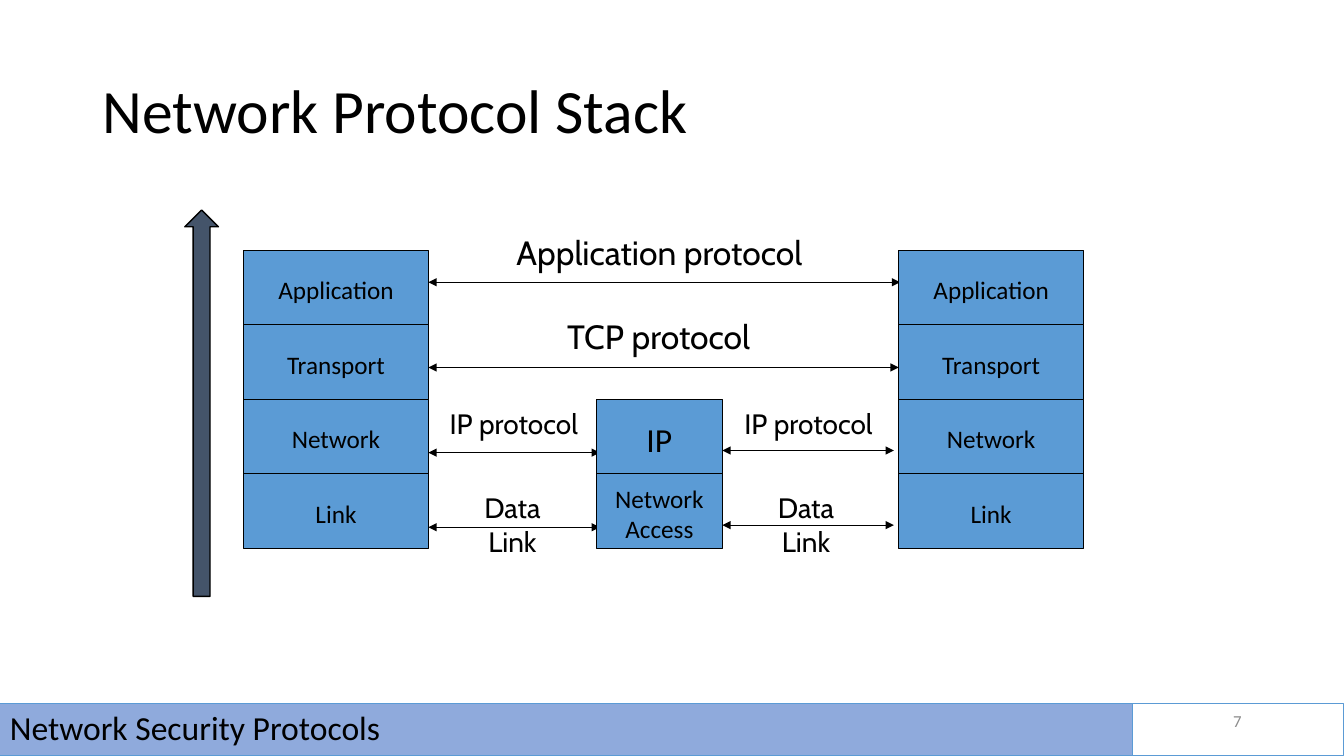
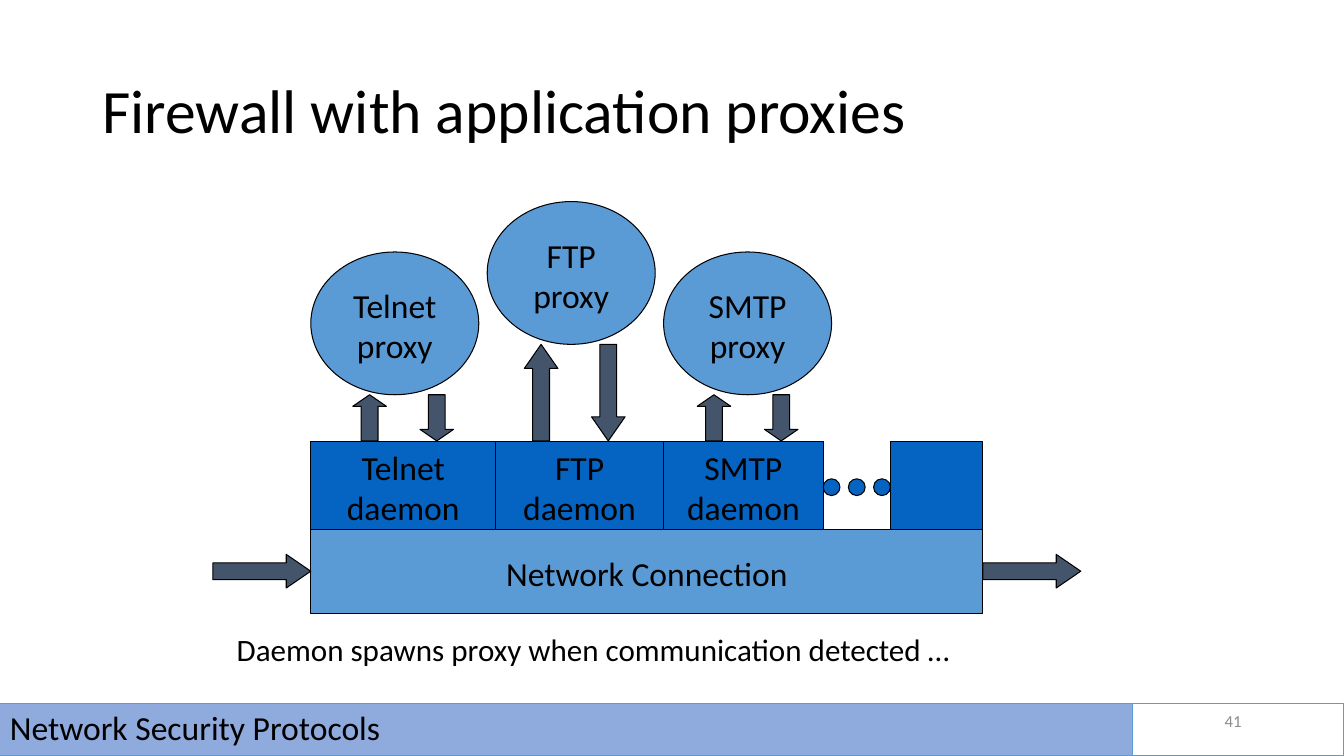
from lxml import etree
from pptx import Presentation
from pptx.dml.color import RGBColor
from pptx.enum.shapes import MSO_CONNECTOR, MSO_SHAPE
from pptx.enum.text import MSO_ANCHOR, PP_ALIGN
from pptx.oxml.ns import qn
from pptx.util import Pt

RECTANGLE, OVAL = MSO_SHAPE.RECTANGLE, MSO_SHAPE.OVAL
UP, DOWN, RIGHT = MSO_SHAPE.UP_ARROW, MSO_SHAPE.DOWN_ARROW, MSO_SHAPE.RIGHT_ARROW
STRAIGHT = MSO_CONNECTOR.STRAIGHT
TOP, MIDDLE = MSO_ANCHOR.TOP, MSO_ANCHOR.MIDDLE
LEFT, CENTER, RIGHT_ALIGN = PP_ALIGN.LEFT, PP_ALIGN.CENTER, PP_ALIGN.RIGHT

COLORS = {
    "text": "000000",
    "box": "5B9BD5",
    "daemon": "0563C1",
    "arrow": "44546A",
    "band": "8FAADC",
    "number": "8C8C8C",
}
BODY_FONT, LABEL_FONT = "Calibri", "Cabin"
FOOTER = "Network Security Protocols"
FOOTER_TOP, FOOTER_HEIGHT, BAND_WIDTH = 502.8, 37.2, 809.3
SLIDE_WIDTH, SLIDE_HEIGHT = 960, 540

LAYERS = ["Application", "Transport", "Network", "Link"]
STACK_TOP, LAYER_HEIGHT = 178.6, 53.3
STACKS = [
    (174, 132, 0, [(layer, 18) for layer in LAYERS]),
    (426, 90, 2, [("IP", 24), ("Network Access", 18)]),
    (642, 132, 0, [(layer, 18) for layer in LAYERS]),
]
LINKS = [
    (306, 643, 201.6),
    (306, 642, 262.5),
    (306, 428.5, 323.3),
    (306, 428.5, 376.6),
    (516, 638.5, 321.8),
    (516, 638.5, 375.1),
]
LABELS = [
    ("Application protocol", 471, 162, 223, 24),
    ("TCP protocol", 470.5, 222, 149, 24),
    ("IP protocol", 367, 286.5, 111, 20),
    ("Data Link", 366, 347, 60, 20),
    ("IP protocol", 577.5, 286.5, 111, 20),
    ("Data Link", 575.7, 347, 60, 20),
]

CONNECTION = (222, 378, 480, 60)
DAEMON_TOP, DAEMON_HEIGHT = 315, 63
DAEMONS = [("Telnet daemon", 132), ("FTP daemon", 120), ("SMTP daemon", 114)]
SPARE_LEFT, SPARE_WIDTH = 636, 66
DOT_SIZE, DOT_STEP, DOT_COUNT = 12, 18, 3
PROXY_WIDTH, PROXY_HEIGHT, PROXY_STEP = 120, 102, 126
PROXIES = [("Telnet proxy", 180, 252), ("FTP proxy", 144, 374.5), ("SMTP proxy", 180, 498)]
ARROW_THICKNESS, ARROW_PAIR_STEP, FLOW_LENGTH = 24, 48, 70
CAPTION = "Daemon spawns proxy when communication detected …"


def apply_format(target, values):
    for name, value in values.items():
        setattr(target, name, value)


def write_text(shape, text, size, font=BODY_FONT, color="text", align=CENTER,
               anchor=MIDDLE, wrap=True, margin_top=3.6, spacing=1.0):
    frame = shape.text_frame
    frame.text = text
    apply_format(frame, {
        "word_wrap": wrap,
        "vertical_anchor": anchor,
        "margin_left": Pt(7.2),
        "margin_right": Pt(7.2),
        "margin_top": Pt(margin_top),
        "margin_bottom": Pt(3.6),
    })
    paragraph = frame.paragraphs[0]
    apply_format(paragraph, {"alignment": align, "line_spacing": spacing, "space_before": Pt(0)})
    apply_format(paragraph.font, {"name": font, "size": Pt(size), "bold": False})
    paragraph.font.color.rgb = RGBColor.from_string(COLORS[color])


def add_box(slide, kind, bounds, fill="box", line="text", width=0.75):
    shape = slide.shapes.add_shape(kind, *map(Pt, bounds))
    shape.shadow.inherit = False
    if fill:
        shape.fill.solid()
        shape.fill.fore_color.rgb = RGBColor.from_string(COLORS[fill])
    else:
        shape.fill.background()
    shape.line.color.rgb = RGBColor.from_string(COLORS[line])
    shape.line.width = Pt(width)
    return shape


def add_label(slide, bounds, text, size, **options):
    write_text(slide.shapes.add_textbox(*map(Pt, bounds)), text, size, **options)


def add_block_arrow(slide, kind, bounds):
    arrow = add_box(slide, kind, bounds, "arrow")
    arrow.adjustments[1] = max(bounds[2:]) / 4 / ARROW_THICKNESS


def add_link(slide, start, end, y):
    link = slide.shapes.add_connector(STRAIGHT, Pt(start), Pt(y), Pt(end), Pt(y))
    link.line.color.rgb = RGBColor.from_string(COLORS["text"])
    link.line.width = Pt(0.75)
    line = link.line._get_or_add_ln()
    for tag in ("a:headEnd", "a:tailEnd"):
        etree.SubElement(line, qn(tag), type="triangle")
    etree.SubElement(link._element.spPr, qn("a:effectLst"))


def add_slide(presentation, title, number):
    slide = presentation.slides.add_slide(presentation.slide_layouts[5])
    heading = slide.shapes.title
    apply_format(heading, {"left": Pt(66), "top": Pt(28.8), "width": Pt(828), "height": Pt(104.4)})
    write_text(heading, title, 44, align=LEFT, spacing=0.9)
    band = add_box(slide, RECTANGLE, (0, FOOTER_TOP, BAND_WIDTH, FOOTER_HEIGHT), "band", "box")
    write_text(band, FOOTER, 24, align=LEFT, spacing=0.9)
    add_box(slide, RECTANGLE,
            (BAND_WIDTH, FOOTER_TOP, SLIDE_WIDTH - BAND_WIDTH, FOOTER_HEIGHT), None, "box")
    add_label(slide, (678, 500.4, 216, 28.8), number, 12, color="number", align=RIGHT_ALIGN)
    return slide


def build_protocol_stack(presentation):
    slide = add_slide(presentation, "Network Protocol Stack", "7")
    for start, end, y in LINKS:
        add_link(slide, start, end, y)
    for left, width, first_row, layers in STACKS:
        for row, (name, size) in enumerate(layers, first_row):
            bounds = (left, STACK_TOP + row * LAYER_HEIGHT, width, LAYER_HEIGHT)
            write_text(add_box(slide, RECTANGLE, bounds), name, size, margin_top=6.4)
    for text, center, top, width, size in LABELS:
        add_label(slide, (center - width / 2, top, width, 36), text, size, font=LABEL_FONT,
                  anchor=TOP, wrap=text == "Data Link")
    add_box(slide, UP, (132, 150, 24, 276), "arrow", width=1)


def build_firewall(presentation):
    slide = add_slide(presentation, "Firewall with application proxies", "41")
    left, top, width, height = CONNECTION
    write_text(add_box(slide, RECTANGLE, CONNECTION), "Network Connection", 24, margin_top=6.4)
    flow_top = top + (height - ARROW_THICKNESS) / 2
    for flow_left in (left - FLOW_LENGTH, left + width):
        add_block_arrow(slide, RIGHT, (flow_left, flow_top, FLOW_LENGTH, ARROW_THICKNESS))

    daemon_left = left
    for text, daemon_width in DAEMONS:
        bounds = (daemon_left, DAEMON_TOP, daemon_width, DAEMON_HEIGHT)
        write_text(add_box(slide, RECTANGLE, bounds, "daemon"), text, 24, margin_top=6.4)
        daemon_left += daemon_width
    add_box(slide, RECTANGLE, (SPARE_LEFT, DAEMON_TOP, SPARE_WIDTH, DAEMON_HEIGHT), "daemon")
    for index in range(DOT_COUNT):
        add_box(slide, OVAL, (daemon_left + index * DOT_STEP, 342, DOT_SIZE, DOT_SIZE), "daemon")

    for index, (text, proxy_top, arrow_left) in enumerate(PROXIES):
        bounds = (left + index * PROXY_STEP, proxy_top, PROXY_WIDTH, PROXY_HEIGHT)
        write_text(add_box(slide, OVAL, bounds), text, 24, margin_top=6.4)
        arrow_top = proxy_top + PROXY_HEIGHT
        for side, kind in enumerate((UP, DOWN)):
            add_block_arrow(slide, kind, (arrow_left + side * ARROW_PAIR_STEP, arrow_top,
                                          ARROW_THICKNESS, DAEMON_TOP - arrow_top))
    add_label(slide, (162, 450, 618, 27), CAPTION, 22.2, align=LEFT)


def main():
    presentation = Presentation()
    presentation.slide_width = Pt(SLIDE_WIDTH)
    presentation.slide_height = Pt(SLIDE_HEIGHT)
    build_protocol_stack(presentation)
    build_firewall(presentation)
    presentation.save("out.pptx")


if __name__ == "__main__":
    main()
